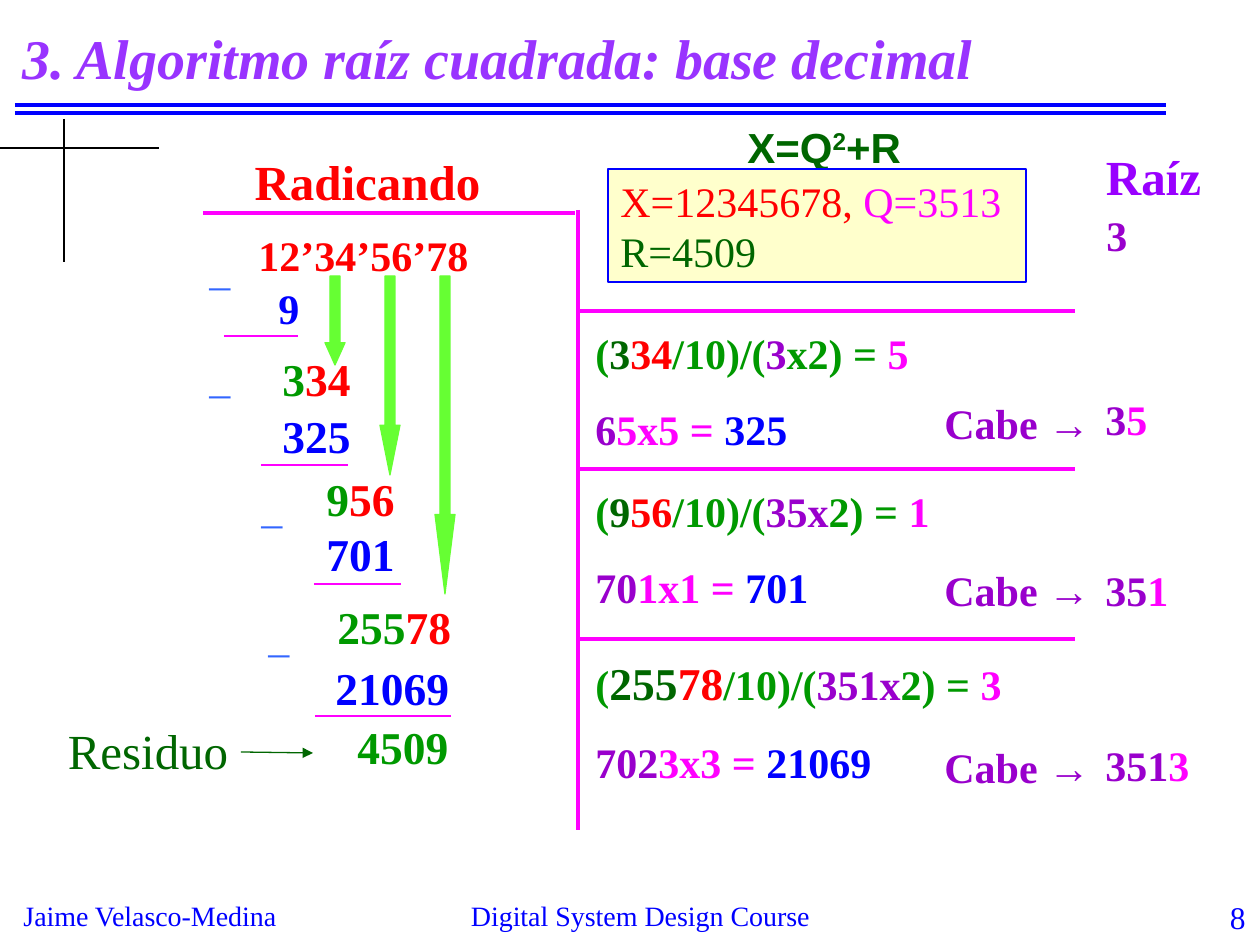
import pptx
import pptx.util
import pptx.dml.color
import pptx.enum.shapes
import pptx.enum.text
import pptx.oxml.ns
import lxml.etree

RGBColor = pptx.dml.color.RGBColor
BLUE = RGBColor(0x00, 0x00, 0xFF)
BLACK = RGBColor(0x00, 0x00, 0x00)
RED = RGBColor(0xFF, 0x00, 0x00)
MAGENTA = RGBColor(0xFF, 0x00, 0xFF)
GREEN = RGBColor(0x00, 0x99, 0x00)
DARK_GREEN = RGBColor(0x00, 0x66, 0x00)
LIME = RGBColor(0x66, 0xFF, 0x33)
PURPLE = RGBColor(0x99, 0x00, 0xCC)
VIOLET = RGBColor(0x99, 0x00, 0xFF)
TITLE_VIOLET = RGBColor(0x99, 0x33, 0xFF)
SKY = RGBColor(0x33, 0x66, 0xFF)
CREAM = RGBColor(0xFF, 0xFF, 0xCC)
ALIGN = pptx.enum.text.PP_ALIGN
ANCHOR = pptx.enum.text.MSO_ANCHOR
SHAPES = pptx.enum.shapes.MSO_SHAPE
SCALE = 914400 / 126


def px(length):
    """Turn a length in px into EMU."""
    return pptx.util.Emu(round(length * SCALE))


def place(box, left, top, width, height):
    """Return a box offset from the corner of another box."""
    return box[0] + left, box[1] + top, width, height


def fill_text(shape, paras, size=24, bold=True, italic=False, font="Times New Roman",
              align=ALIGN.LEFT, anchor=ANCHOR.TOP):
    """Write paragraphs of (text, colour, optional size) spans into a shape."""
    frame = shape.text_frame
    frame.word_wrap = True
    frame.vertical_anchor = anchor
    for index, spans in enumerate(paras):
        para = frame.paragraphs[0] if index == 0 else frame.add_paragraph()
        para.alignment = align
        if index:
            para.space_before = pptx.util.Pt(15)
        for text, colour, *own_size in spans:
            span = para.add_run()
            span.text = text
            span.font.name = font
            span.font.size = pptx.util.Pt(own_size[0] if own_size else size)
            span.font.bold = bold
            span.font.italic = italic
            span.font.color.rgb = colour


def add_text(page, box, paras, **style):
    """Add a text box and return it."""
    shape = page.shapes.add_textbox(*map(px, box))
    fill_text(shape, paras, **style)
    return shape


def add_block(page, kind, box, fill, line):
    """Add a filled preset shape with a thin outline."""
    shape = page.shapes.add_shape(kind, *map(px, box))
    shape.shadow.inherit = False
    shape.fill.solid()
    shape.fill.fore_color.rgb = fill
    shape.line.color.rgb = line
    shape.line.width = pptx.util.Pt(0.75)
    return shape


def add_line(page, box, colour, width, arrow=False):
    """Draw a line across a box from its top left to its bottom right."""
    left, top, across, down = box
    line = page.shapes.add_connector(pptx.enum.shapes.MSO_CONNECTOR.STRAIGHT,
                                     px(left), px(top), px(left + across), px(top + down))
    line.line.color.rgb = colour
    line.line.width = pptx.util.Pt(width)
    qn = pptx.oxml.ns.qn
    if arrow:
        lxml.etree.SubElement(line.line._get_or_add_ln(), qn("a:tailEnd"), type="triangle")
    lxml.etree.SubElement(line._element.spPr, qn("a:effectLst"))


def add_header(page, box):
    """Place the title, its double rule and the corner cross."""
    add_text(page, place(box, 10, 10, 1155, 95),
             [[("3. Algoritmo raíz cuadrada: base decimal", TITLE_VIOLET)]],
             size=32, italic=True, anchor=ANCHOR.MIDDLE)
    for top in (105, 113):
        add_line(page, place(box, 15, top, 1151, 0), BLUE, 2.25)
    add_line(page, place(box, 64, 119, 0, 143), BLACK, 1.5)
    add_line(page, place(box, 0, 148, 159, 0), BLACK, 0.75)


def add_footer(page, box):
    """Place the author, the course and the page number."""
    parts = ((11, 282, "Jaime Velasco-Medina", 16, ALIGN.LEFT),
             (420, 441, "Digital System Design Course", 16, ALIGN.CENTER),
             (1171, 87, "8", 18, ALIGN.RIGHT))
    for left, width, text, size, align in parts:
        add_text(page, place(box, left, 0, width, 42), [[(text, BLUE)]],
                 size=size, bold=False, align=align)


def add_formula(page, box):
    """Place the general formula above the framed example."""
    formula = add_text(page, place(box, 127, -54, 190, 63),
                       [[("X=Q", DARK_GREEN), ("2", DARK_GREEN), ("+R", DARK_GREEN)]],
                       font="Arial")
    exponent = formula.text_frame.paragraphs[0].runs[1]
    exponent._r.get_or_add_rPr().set("baseline", "30000")
    example = add_block(page, SHAPES.RECTANGLE, place(box, 0, 0, 418, 113), CREAM, BLUE)
    fill_text(example, [[("X=12345678, ", RED), ("Q=3513", MAGENTA),
                         (" R=4509", DARK_GREEN)]], bold=False)


def add_division(page, box):
    """Place the radicand, its successive subtractions and the remainder."""
    add_text(page, place(box, 41, 5, 253, 72), [[("Radicando", RED)]],
             size=28, align=ALIGN.CENTER)
    add_line(page, place(box, 3, 73, 372, 0), MAGENTA, 2.25)
    add_text(page, place(box, 46, 83, 318, 63), [[("12’34’56’78", RED)]])
    add_text(page, place(box, 66, 136, 60, 63), [[("9", BLUE)]])
    numbers = ((70, 205, [("3", GREEN), ("34", RED)]), (70, 262, [("325", BLUE)]),
               (114, 325, [("9", GREEN), ("56", RED)]), (114, 380, [("701", BLUE)]),
               (125, 453, [("255", GREEN), ("78", RED)]), (123, 514, [("21069", BLUE)]),
               (145, 573, [("4509", GREEN)]))
    for left, top, spans in numbers:
        add_text(page, place(box, left, top, 149, 68), [spans], size=26)
    for left, top in ((-3, 97), (-3, 205), (49, 335), (56, 464)):
        add_text(page, place(box, left, top, 69, 63), [[("_", SKY)]], bold=False)
    for left, top, width in ((24, 196, 74), (61, 325, 87), (114, 444, 87), (115, 576, 136)):
        add_line(page, place(box, left, top, width, 0), MAGENTA, 1.5)
    for left, height in ((125, 89), (180, 199), (235, 318)):
        arrow = add_block(page, SHAPES.DOWN_ARROW, place(box, left, 136, 20, height), LIME, LIME)
        arrow.adjustments[1] = height / 4 / 20
    add_text(page, place(box, -146, 574, 188, 72), [[("Residuo", DARK_GREEN)]],
             size=28, bold=False, align=ALIGN.CENTER)
    add_line(page, place(box, 41, 612, 72, 1), DARK_GREEN, 0.75, arrow=True)


def add_trial(page, box, paras, fit_top, root_top, root):
    """Place one digit trial: its rule, its sums and the root so far."""
    add_line(page, place(box, 1, 0, 496, 0), MAGENTA, 2.25)
    add_text(page, place(box, 5, 10, 536, 142), paras)
    add_text(page, place(box, 354, fit_top, 189, 63), [[("Cabe →", PURPLE)]])
    add_text(page, place(box, 515, root_top, 118, 63), [root])


def add_root(page, box):
    """Place the root heading, the vertical divider and the three trials."""
    left, top = box[:2]
    add_line(page, place(box, 0, 0, 0, 620), MAGENTA, 2.25)
    add_text(page, place(box, 506, -70, 139, 72), [[("Raíz", VIOLET)]],
             size=28, align=ALIGN.CENTER)
    add_text(page, place(box, 516, -7, 59, 63), [[("3", PURPLE)]])
    trials = (
        (101, 80, 76,
         [("(", GREEN), ("3", DARK_GREEN), ("34", RED), ("/10)/(", GREEN),
          ("3", PURPLE), ("x2) = ", GREEN), ("5", MAGENTA)],
         [("6", PURPLE), ("5x5 = ", MAGENTA), ("325", BLUE)],
         [("3", PURPLE), ("5", MAGENTA)]),
        (259, 89, 89,
         [("(", GREEN), ("9", DARK_GREEN), ("56", RED), ("/10)/(", GREEN),
          ("35x", PURPLE), ("2) =", GREEN), (" 1", MAGENTA)],
         [("70", PURPLE), ("1x1 = ", MAGENTA), ("701", BLUE)],
         [("35", PURPLE), ("1", MAGENTA)]),
        (429, 96, 94,
         [("(", GREEN), ("255", DARK_GREEN, 26), ("78", RED, 26), ("/10)/(", GREEN),
          ("351x", PURPLE), ("2) =", GREEN), (" 3", MAGENTA)],
         [("702", PURPLE), ("3x3 = ", MAGENTA), ("21069", BLUE)],
         [("351", PURPLE), ("3", MAGENTA)]),
    )
    for down, fit_top, root_top, quotient, product, root in trials:
        add_trial(page, (left, top + down), [quotient, product], fit_top, root_top, root)


def main():
    """Build the slide and save the deck."""
    deck = pptx.Presentation()
    deck.slide_width, deck.slide_height = px(1260), px(945)
    page = deck.slides.add_slide(deck.slide_layouts[6])
    add_header(page, (0, 0))
    add_footer(page, (0, 892))
    add_division(page, (200, 140))
    add_root(page, (578, 210))
    add_formula(page, (608, 169))
    deck.save("out.pptx")


if __name__ == "__main__":
    main()
